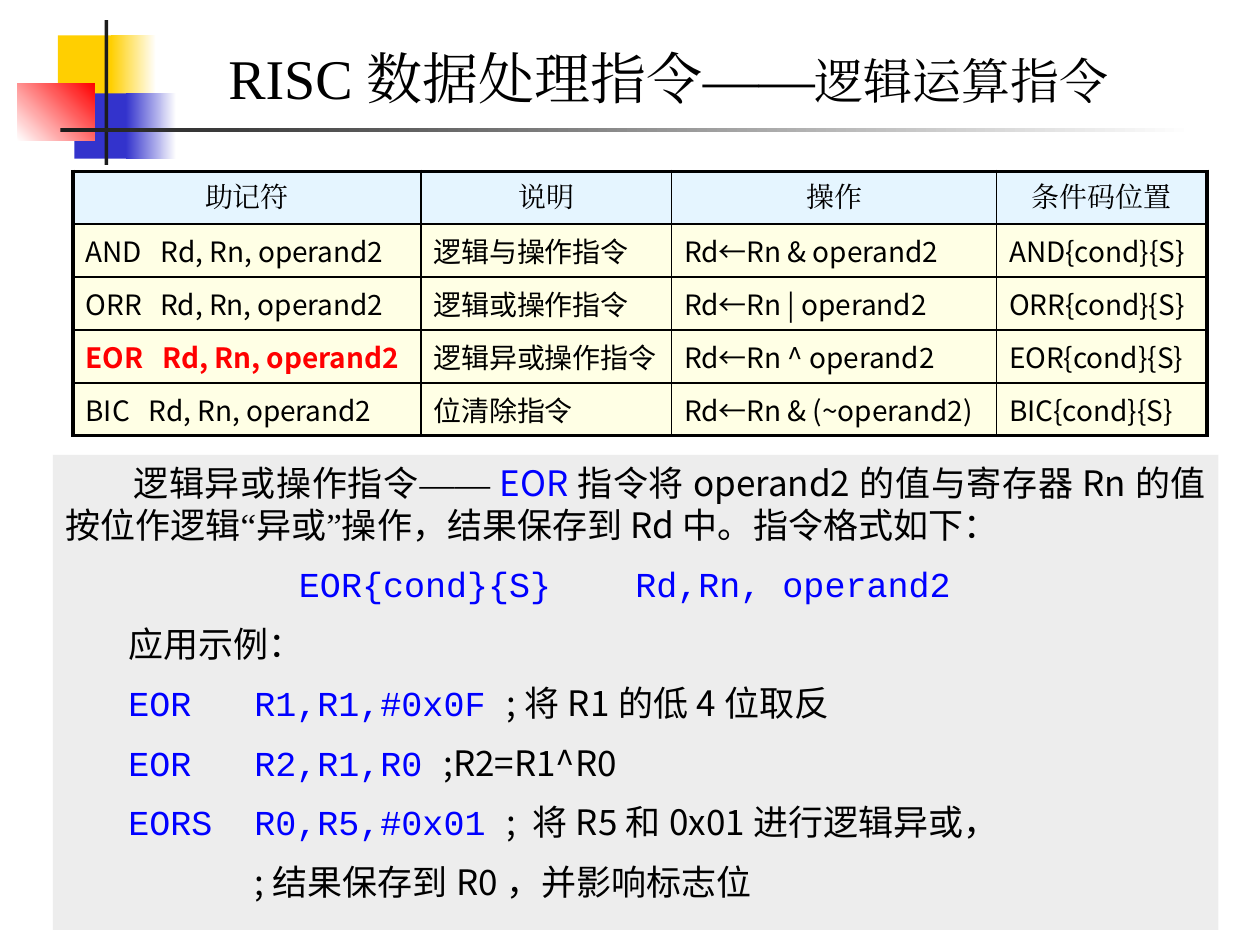
import pptx
import pptx.util
import pptx.dml.color
import pptx.enum.shapes
import pptx.enum.text
import pptx.oxml
import pptx.oxml.ns
import lxml.etree

Inches, Pt = pptx.util.Inches, pptx.util.Pt
qn = pptx.oxml.ns.qn
ALIGN = pptx.enum.text.PP_ALIGN
MIDDLE = pptx.enum.text.MSO_ANCHOR.MIDDLE

THEME = {
    "black": "000000", "blue": "0000FF", "red": "FF0000", "white": "FFFFFF",
    "gold": "FFCF01", "indigo": "3333CC", "ink": "1C1C1C",
    "header": "CCECFF", "body": "FFFFCC", "panel": "DDDDDD",
    "serif": "Times New Roman", "sans": "Noto Sans CJK JP",
    "cell": "Noto Sans CJK SC", "code": "Courier New",
    "title_size": 32, "subtitle_size": 28, "text_size": 20, "table_size": 16,
    "thin": 1, "thick": 2.25,
}

# Content
TITLE = [("RISC数据处理指令——", "title_size"), ("逻辑运算指令", "subtitle_size")]
HEADINGS = ["助记符", "说明", "操作", "条件码位置"]
INSTRUCTIONS = [
    ("AND", "逻辑与操作指令", "Rd←Rn & operand2"),
    ("ORR", "逻辑或操作指令", "Rd←Rn | operand2"),
    ("EOR", "逻辑异或操作指令", "Rd←Rn ^ operand2"),
    ("BIC", "位清除指令", "Rd←Rn & (~operand2)"),
]
HIGHLIGHT = "EOR"
INTRO = [
    ("逻辑异或操作指令", "sans", "black"), ("——", "serif", "black"),
    ("EOR", "sans", "blue"),
    ("指令将operand2的值与寄存器Rn的值按位作逻辑", "sans", "black"),
    ("“", "serif", "black"), ("异或", "sans", "black"), ("”", "serif", "black"),
    ("操作，结果保存到Rd中。指令格式如下：", "sans", "black"),
]
SYNTAX = [("EOR{cond}{S}    Rd,Rn, operand2 ", "code", "blue")]
EXAMPLE_LABEL = [("应用示例：", "sans", "black")]
EXAMPLES = [
    ("EOR", "R1,R1,#0x0F", ";将R1的低4位取反"),
    ("EOR", "R2,R1,R0", ";R2=R1^R0"),
    ("EORS", "R0,R5,#0x01", "; 将R5和0x01进行逻辑异或，"),
    ("", "", ";结果保存到R0，并影响标志位"),
]

# Ornament: place, first colour, optional end colour, angle
ORNAMENT = [
    ((0.46, 0.28, 0.48, 0.52), "gold", None, 0),
    ((0.88, 0.28, 0.36, 0.52), "gold", "white", 0),
    ((0.59, 0.74, 0.46, 0.52), "indigo", None, 0),
    ((1, 0.74, 0.4, 0.52), "indigo", "white", 0),
    ((0.14, 0.66, 0.61, 0.46), "white", "red", 45),
    ((0.83, 0.16, 0.03, 1.15), "ink", None, 0),
    ((0.48, 1.02, 9, 0.03), "ink", "white", 0),
]
COLUMN_WIDTHS = [2.76, 1.99, 2.58, 1.67]
ROW_HEIGHT = 0.42
EXAMPLE_TABS = [0.67, 2, 5]


def color(name):
    return pptx.dml.color.RGBColor.from_string(THEME[name])


def add_run(paragraph, words, font, size, ink="black", bold=False):
    run = paragraph.add_run()
    run.text = words
    run.font.size = Pt(THEME[size])
    run.font.bold = bold
    run.font.color.rgb = color(ink)
    run.font.name = THEME[font]
    latin = run.font._element.find(qn("a:latin"))
    east_asian = lxml.etree.Element(qn("a:ea"), typeface=THEME[font])
    latin.addnext(east_asian)


def fill_half(fill, name):
    """Solid fill at half opacity."""
    fill.solid()
    fill.fore_color.rgb = color(name)
    rgb = fill._xPr.find(qn("a:solidFill")).find(qn("a:srgbClr"))
    lxml.etree.SubElement(rgb, qn("a:alpha"), val="50000")


def add_block(slide, place):
    block = slide.shapes.add_shape(
        pptx.enum.shapes.MSO_SHAPE.RECTANGLE, *map(Inches, place))
    block.shadow.inherit = False
    block.line.fill.background()
    return block


def add_ornament(slide):
    for place, start, end, angle in ORNAMENT:
        fill = add_block(slide, place).fill
        if end is None:
            fill.solid()
            fill.fore_color.rgb = color(start)
            continue
        fill.gradient()
        fill.gradient_angle = angle
        for stop, name in zip(fill.gradient_stops, (start, end)):
            stop.color.rgb = color(name)


def add_title(slide):
    frame = slide.shapes.add_textbox(
        *map(Inches, (1.14, 0.28, 8.33, 0.67))).text_frame
    frame.word_wrap = True
    frame.vertical_anchor = MIDDLE
    frame.paragraphs[0].alignment = ALIGN.CENTER
    for words, size in TITLE:
        add_run(frame.paragraphs[0], words, "serif", size)


def set_borders(cell, outer_sides):
    properties = cell._tc.get_or_add_tcPr()
    for position, side in enumerate("LRTB"):
        width = THEME["thick" if side in outer_sides else "thin"]
        line = lxml.etree.Element(qn("a:ln" + side), w=str(int(Pt(width))))
        solid = lxml.etree.SubElement(line, qn("a:solidFill"))
        lxml.etree.SubElement(solid, qn("a:srgbClr"), val=THEME["black"])
        properties.insert(position, line)


def add_instruction_table(slide):
    rows = [HEADINGS] + [
        (f"{name}   Rd, Rn, operand2", meaning, operation, name + "{cond}{S}")
        for name, meaning, operation in INSTRUCTIONS]
    last_row, last_column = len(rows) - 1, len(HEADINGS) - 1
    table = slide.shapes.add_table(
        len(rows), len(HEADINGS), Inches(0.58), Inches(1.36),
        Inches(sum(COLUMN_WIDTHS)), Inches(ROW_HEIGHT * len(rows))).table
    table.first_row = table.horz_banding = False
    for column, width in zip(table.columns, COLUMN_WIDTHS):
        column.width = Inches(width)
    for r, row in enumerate(rows):
        table.rows[r].height = Inches(ROW_HEIGHT)
        for c, words in enumerate(row):
            cell = table.cell(r, c)
            cell.vertical_anchor = MIDDLE
            fill_half(cell.fill, "body" if r else "header")
            edges = {"L": c == 0, "R": c == last_column,
                     "T": r == 0, "B": r == last_row}
            set_borders(cell, [side for side in edges if edges[side]])
            paragraph = cell.text_frame.paragraphs[0]
            paragraph.alignment = ALIGN.JUSTIFY if r else ALIGN.CENTER
            marked = c == 0 and words.startswith(HIGHLIGHT)
            add_run(paragraph, words, "cell" if r else "serif", "table_size",
                    "red" if marked else "black", marked)


def add_explanation(slide):
    panel = add_block(slide, (0.42, 3.61, 9.25, 3.77))
    fill_half(panel.fill, "panel")
    frame = panel.text_frame
    frame.word_wrap = True
    frame.vertical_anchor = pptx.enum.text.MSO_ANCHOR.TOP
    # Runs, alignment, first-line indent, tab stops
    paragraphs = [(INTRO, ALIGN.JUSTIFY, 0.54, []),
                  (SYNTAX, ALIGN.CENTER, 0, []),
                  (EXAMPLE_LABEL, ALIGN.LEFT, 0.5, [])]
    for mnemonic, operands, comment in EXAMPLES:
        runs = [(f"\t{mnemonic}\t{operands}\t", "code", "blue"),
                (comment, "sans", "black")]
        paragraphs.append((runs, ALIGN.LEFT, 0, EXAMPLE_TABS))
    for i, (runs, alignment, indent, tabs) in enumerate(paragraphs):
        paragraph = frame.add_paragraph() if i else frame.paragraphs[0]
        paragraph.alignment = alignment
        paragraph.line_spacing = Pt(24)
        if i:
            paragraph.space_before = Pt(10)
        properties = paragraph._p.get_or_add_pPr()
        properties.set("marL", "0")
        properties.set("indent", str(int(Inches(indent))))
        if tabs:
            stops = lxml.etree.SubElement(properties, qn("a:tabLst"))
            for stop in tabs:
                lxml.etree.SubElement(stops, qn("a:tab"),
                                      pos=str(int(Inches(stop))), algn="l")
        for words, font, ink in runs:
            add_run(paragraph, words, font, "text_size", ink)


def main():
    deck = pptx.Presentation()
    deck.slide_width, deck.slide_height = Inches(10), Inches(7.5)
    slide = deck.slides.add_slide(deck.slide_layouts[6])
    add_ornament(slide)
    add_title(slide)
    add_instruction_table(slide)
    add_explanation(slide)
    deck.save("out.pptx")


if __name__ == "__main__":
    main()
